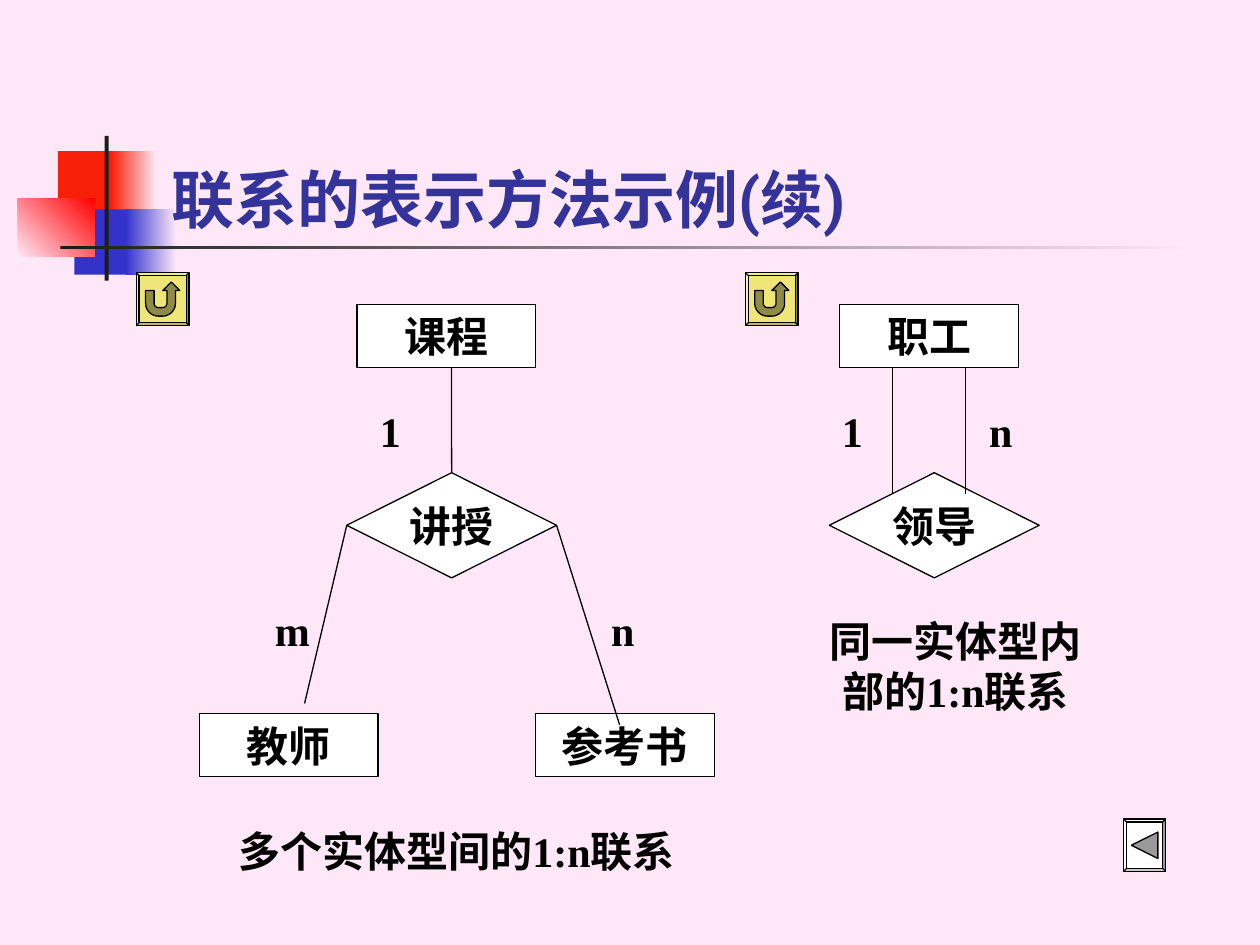
"""Build the slide of entity-relationship examples."""
from dataclasses import dataclass
from math import cos, radians, sin
from typing import NamedTuple, Optional

from lxml.etree import SubElement
from pptx import Presentation
from pptx.dml.color import RGBColor as Rgb
from pptx.enum.shapes import MSO_CONNECTOR as Link, MSO_SHAPE as Kind
from pptx.enum.text import MSO_ANCHOR as Anchor, PP_ALIGN as Align
from pptx.oxml.ns import qn
from pptx.util import Cm, Pt


@dataclass(frozen=True)
class Theme:
    back: str = "FEE8F7"
    red: str = "F81F08"
    rose: str = "FF0000"
    blue: str = "3333CC"
    dark: str = "1C1C1C"
    title: str = "333399"
    ink: str = "000000"
    paper: str = "FFFFFF"
    gold: str = "EEE678"
    olive: str = "8F8A48"
    gray: str = "999999"
    head: str = "Roboto"
    body: str = "Times New Roman"
    big: float = 36
    size: float = 24
    rule: float = 0.75


class Box(NamedTuple):
    x: float
    y: float
    w: float
    h: float


class Bar(NamedTuple):
    box: Box
    fill: str
    end: Optional[str] = None
    turn: float = 0


class Node(NamedTuple):
    text: str
    kind: Kind
    box: Box


class Label(NamedTuple):
    text: str
    box: Box
    align: Align = Align.LEFT


class Line(NamedTuple):
    start: tuple
    end: tuple
    node: Optional[str] = None
    side: int = 0


class Button(NamedTuple):
    box: Box
    edge: float
    fill: str
    mark: str
    icon: list


T = Theme()
UNIT = 0.086


def arc(x: float, y: float, r: float, a: int, b: int) -> list:
    """Return points on a circle from angle a to angle b."""
    turns = [radians(a + (b - a) * i / 8) for i in range(9)]
    return [(x + r * cos(t), y + r * sin(t)) for t in turns]


def entity(text: str, x: float, y: float) -> Node:
    """Describe an entity rectangle."""
    return Node(text, Kind.RECTANGLE, Box(x, y, 3.6, 1.27))


def relation(text: str, x: float) -> Node:
    """Describe a relationship diamond."""
    return Node(text, Kind.DIAMOND, Box(x, 9.53, 4.23, 2.12))


def count(text: str, x: float, y: float) -> Label:
    """Describe a cardinality label."""
    return Label(text, Box(x, y, 1.06, 1.27))


U_TURN = [(-4, -2), (-2, -2), *arc(-1, 1, 1, 180, 90), *arc(0, 1, 1, 90, 0),
          (1, -2), (0, -2), (2, -4), (4, -2), (3, -2),
          *arc(0, 1, 3, 0, 90), *arc(-1, 1, 3, 90, 180)]
BACK = [(-3.1, 0), (3.1, -3.1), (3.1, 3.1)]

BARS = [
    Bar(Box(1.17, 3.05, 1.22, 1.32), T.red),
    Bar(Box(2.24, 3.05, 0.91, 1.32), T.red, T.back),
    Bar(Box(1.5, 4.22, 1.17, 1.32), T.blue),
    Bar(Box(2.54, 4.22, 1.02, 1.32), T.blue, T.back),
    Bar(Box(0.36, 4.01, 1.55, 1.17), T.back, T.rose, 45),
    Bar(Box(2.11, 2.74, 0.08, 2.92), T.dark),
    Bar(Box(1.22, 4.95, 22.86, 0.08), T.dark, T.back),
]
NODES = [
    entity("职工", 16.93, 6.14), relation("领导", 16.72),
    entity("课程", 7.2, 6.14), relation("讲授", 6.99),
    entity("教师", 4.02, 14.39), entity("参考书", 10.8, 14.39),
]
LINES = [
    Line((17.99, 9.95), (17.99, 7.41)),
    Line((19.47, 7.41), (19.47, 9.95)),
    Line((9.1, 9.53), (9.1, 7.41), "讲授", 0),
    Line((6.99, 10.59), (6.14, 14.18), "讲授", 1),
    Line((11.22, 10.59), (12.49, 14.61), "讲授", 3),
]
LABELS = [
    count("1", 16.72, 8.04), count("n", 19.69, 8.04), count("1", 7.41, 8.04),
    count("m", 5.29, 12.07), count("n", 12.07, 12.07),
    Label("同一实体型内部的1:n联系", Box(16.09, 12.28, 6.35, 2.29), Align.CENTER),
    Label("多个实体型间的1:n联系", Box(4.02, 16.51, 10.37, 1.27), Align.CENTER),
]
BUTTONS = [
    Button(Box(22.65, 16.51, 0.85, 1.06), 0.07, T.paper, T.gray, BACK),
    *(Button(Box(x, 5.5, 1.06, 1.06), 0.05, T.gold, T.olive, U_TURN)
      for x in (15.03, 2.75)),
]


def paint(shape, fill: str) -> None:
    """Give a shape a plain fill and a thin outline."""
    shape.shadow.inherit = False
    shape.fill.solid()
    shape.fill.fore_color.rgb = Rgb.from_string(fill)
    shape.line.color.rgb = Rgb.from_string(T.ink)
    shape.line.width = Pt(T.rule)


def write(shape, text: str, align: Align, anchor: Anchor, wrap: bool = True,
          face: str = T.body, size: float = T.size, color: str = T.ink) -> None:
    """Put one bold paragraph into a shape."""
    frame = shape.text_frame
    frame.word_wrap = wrap
    frame.vertical_anchor = anchor
    par = frame.paragraphs[0]
    par.text = text
    par.alignment = align
    font = par.font
    font.name, font.size, font.bold = face, Pt(size), True
    font.color.rgb = Rgb.from_string(color)


def draw_bar(shapes, bar: Bar) -> None:
    """Draw a plain or fading block."""
    shape = shapes.add_shape(Kind.RECTANGLE, *map(Cm, bar.box))
    paint(shape, bar.fill)
    shape.line.fill.background()
    if bar.end:
        shape.fill.gradient()
        shape.fill.gradient_angle = bar.turn
        for stop, color in zip(shape.fill.gradient_stops, (bar.fill, bar.end)):
            stop.color.rgb = Rgb.from_string(color)


def draw_node(shapes, node: Node):
    """Draw an entity or a relationship."""
    shape = shapes.add_shape(node.kind, *map(Cm, node.box))
    paint(shape, node.fill if hasattr(node, "fill") else T.paper)
    flat = node.kind == Kind.RECTANGLE
    write(shape, node.text, Align.CENTER, Anchor.TOP if flat else Anchor.MIDDLE, flat)
    return shape


def draw_line(shapes, line: Line, nodes: dict) -> None:
    """Draw a line and join it to its relationship."""
    link = shapes.add_connector(Link.STRAIGHT, *map(Cm, line.start + line.end))
    if line.node:
        link.begin_connect(nodes[line.node], line.side)
    link.line.color.rgb = Rgb.from_string(T.ink)
    link.line.width = Pt(T.rule)
    SubElement(link._element.spPr, qn("a:effectLst"))


def draw_button(shapes, item: Button) -> None:
    """Draw a bevelled button with its icon."""
    box = item.box
    bevel = shapes.add_shape(Kind.BEVEL, *map(Cm, box))
    bevel.adjustments[0] = item.edge
    paint(bevel, item.fill)
    points = [(Cm(box.x + box.w / 2 + UNIT * x), Cm(box.y + box.h / 2 + UNIT * y))
              for x, y in item.icon]
    path = shapes.build_freeform(*points[0])
    path.add_line_segments(points[1:])
    paint(path.convert_to_shape(), item.mark)


def main() -> None:
    """Draw the slide and save it."""
    deck = Presentation()
    deck.slide_width, deck.slide_height = Cm(25.4), Cm(19.05)
    slide = deck.slides.add_slide(deck.slide_layouts[6])
    ground = slide.background.fill
    ground.solid()
    ground.fore_color.rgb = Rgb.from_string(T.back)
    shapes = slide.shapes
    for bar in BARS:
        draw_bar(shapes, bar)
    title = shapes.add_textbox(*map(Cm, Box(3.2, 1.7, 21.64, 3.18)))
    write(title, "联系的表示方法示例(续)", Align.LEFT, Anchor.BOTTOM,
          face=T.head, size=T.big, color=T.title)
    nodes = {node.text: draw_node(shapes, node) for node in NODES}
    for line in LINES:
        draw_line(shapes, line, nodes)
    for label in LABELS:
        write(shapes.add_textbox(*map(Cm, label.box)), label.text, label.align, Anchor.TOP)
    for item in BUTTONS:
        draw_button(shapes, item)
    deck.save("out.pptx")


if __name__ == "__main__":
    main()
